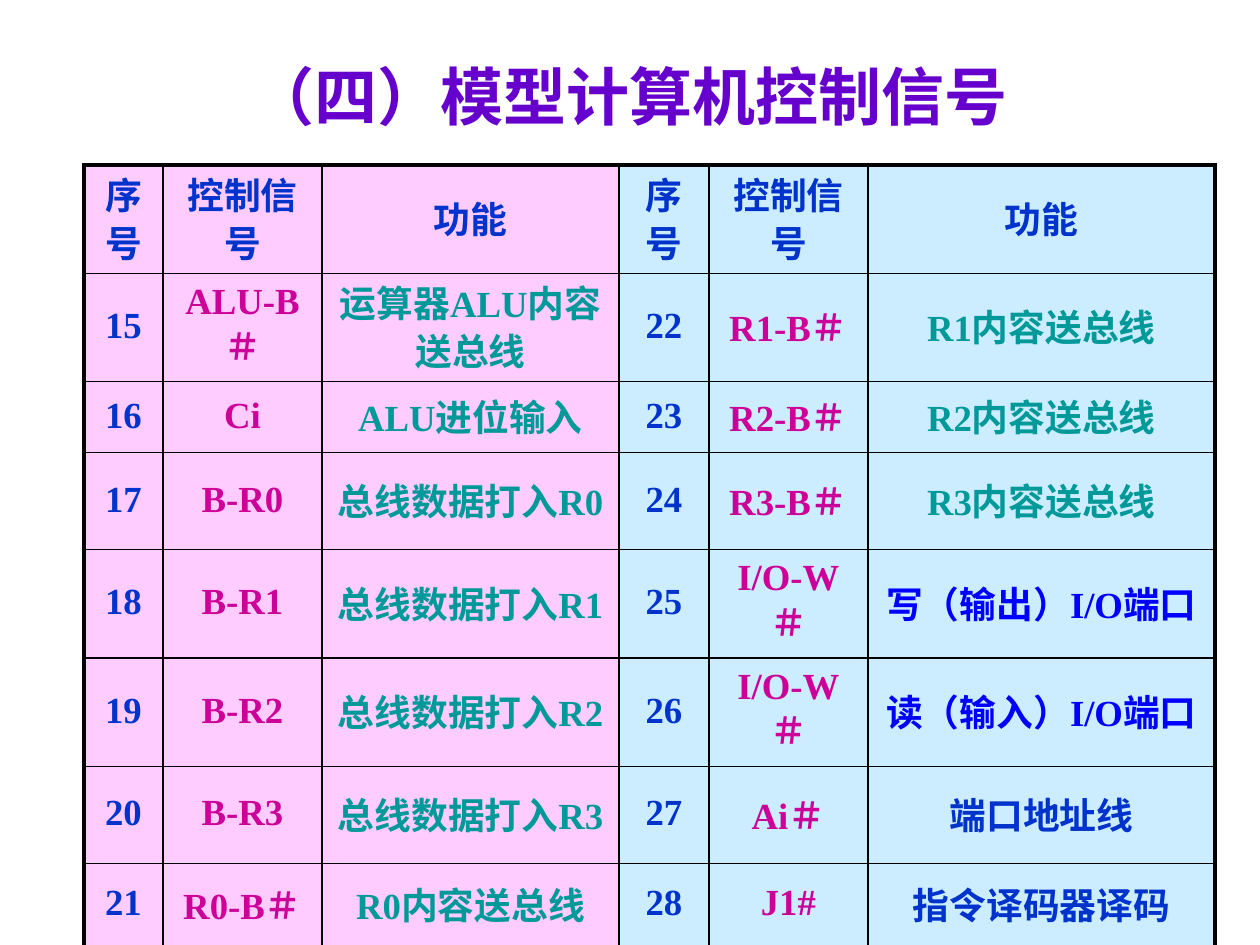
from dataclasses import dataclass

from lxml.etree import SubElement
from pptx import Presentation
from pptx.dml.color import RGBColor
from pptx.enum.text import MSO_ANCHOR, PP_ALIGN
from pptx.oxml import parse_xml
from pptx.oxml.ns import nsdecls, qn
from pptx.util import Emu, Pt

EMU_PER_PX = 914400 / 126
COLORS = {
    "title": "6600CC",
    "number": "0033CC",
    "signal": "CC0099",
    "function": "009999",
    "port": "0000FF",
    "left": "FFCCFF",
    "right": "CCECFF",
    "border": "000000",
}
COLUMNS = [79, 159, 297, 90, 159, 347]
ROWS = [92, 92, 71, 71, 92, 92, 71, 83]
THIN, THICK = 1, 2.25


@dataclass
class Signal:
    name: str
    function: str
    color: str = "function"


FIRST_NUMBER = 15
SIGNALS = [
    Signal("ALU-B＃", "运算器ALU内容送总线"),
    Signal("Ci", "ALU进位输入"),
    *(Signal(f"B-R{n}", f"总线数据打入R{n}") for n in range(4)),
    *(Signal(f"R{n}-B＃", f"R{n}内容送总线") for n in range(4)),
    Signal("I/O-W＃", "写（输出）I/O端口", "port"),
    Signal("I/O-W＃", "读（输入）I/O端口", "port"),
    Signal("Ai＃", "端口地址线", "number"),
    Signal("J1#", "指令译码器译码", "number"),
]


def px(n: int) -> Emu:
    return Emu(round(n * EMU_PER_PX))


def write(tf, text: str, color: str, size: int, font: str):
    p = tf.paragraphs[0]
    p.alignment = PP_ALIGN.CENTER
    r = p.add_run()
    r.text = text
    for name, value in {"size": Pt(size), "name": font, "bold": True}.items():
        setattr(r.font, name, value)
    r.font.color.rgb = RGBColor.from_string(COLORS[color])
    return p


def set_borders(cell, widths: dict) -> None:
    tc_pr = cell._tc.get_or_add_tcPr()
    for i, (side, width) in enumerate(widths.items()):
        tc_pr.insert(i, parse_xml(
            f'<a:ln{side} {nsdecls("a")} w="{Pt(width)}"><a:solidFill>'
            f'<a:srgbClr val="{COLORS["border"]}"/></a:solidFill></a:ln{side}>'))


def draw_cell(table, row: int, col: int, text: str, color: str) -> None:
    cell = table.cell(row, col)
    cell.vertical_anchor = MSO_ANCHOR.MIDDLE
    p = write(cell.text_frame, text, color, 21, "Times New Roman")
    p.line_spacing = 0.9
    after = SubElement(p._p.get_or_add_pPr(), qn("a:spcAft"))
    SubElement(after, qn("a:spcPct")).set("val", "20000")
    cell.fill.solid()
    side = "left" if col < 3 else "right"
    cell.fill.fore_color.rgb = RGBColor.from_string(COLORS[side])
    set_borders(cell, {
        "L": THICK if col == 0 else THIN,
        "R": THICK if col == len(COLUMNS) - 1 else THIN,
        "T": THICK if row == 0 else THIN,
        "B": THICK if row == len(ROWS) - 1 else THIN,
    })


def draw_table(s) -> None:
    frame = s.shapes.add_table(len(ROWS), len(COLUMNS), px(84), px(165),
                               px(sum(COLUMNS)), px(sum(ROWS)))
    table = frame.table
    table.first_row = table.horz_banding = False
    for column, width in zip(table.columns, COLUMNS):
        column.width = px(width)
    for row, height in zip(table.rows, ROWS):
        row.height = px(height)
    for col, text in enumerate(["序号", "控制信号", "功能"] * 2):
        draw_cell(table, 0, col, text, "number")
    for i, signal in enumerate(SIGNALS):
        half, row = divmod(i, len(ROWS) - 1)
        entries = [(str(FIRST_NUMBER + i), "number"), (signal.name, "signal"),
                   (signal.function, signal.color)]
        for col, (text, color) in enumerate(entries):
            draw_cell(table, row + 1, half * 3 + col, text, color)


def draw_title(s) -> None:
    sp = s.shapes.title
    box = {"left": 94, "top": 45, "width": 1071, "height": 101}
    for name, value in box.items():
        setattr(sp, name, px(value))
    sp.text_frame.vertical_anchor = MSO_ANCHOR.MIDDLE
    write(sp.text_frame, "（四）模型计算机控制信号", "title", 36, "Arial")


def main() -> None:
    prs = Presentation()
    prs.slide_width, prs.slide_height = px(1260), px(945)
    s = prs.slides.add_slide(prs.slide_layouts[5])
    draw_title(s)
    draw_table(s)
    prs.save("out.pptx")


if __name__ == "__main__":
    main()
